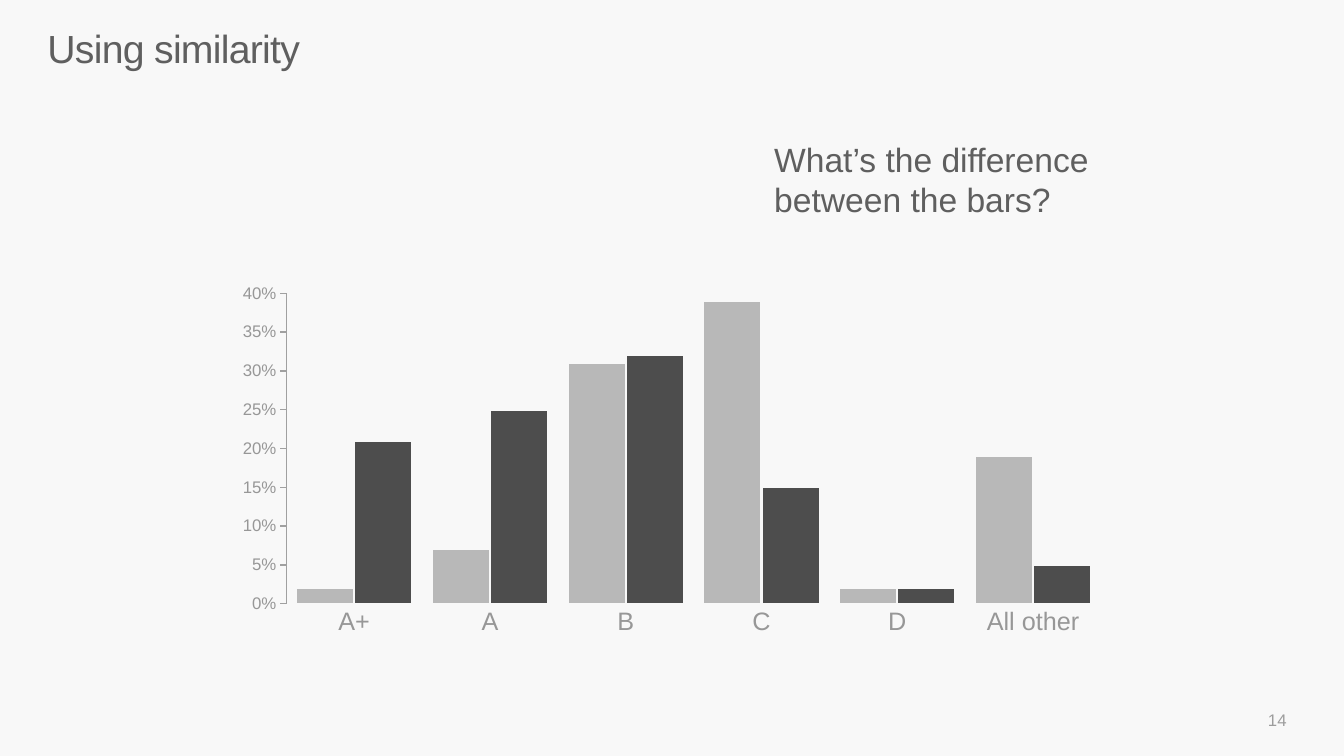
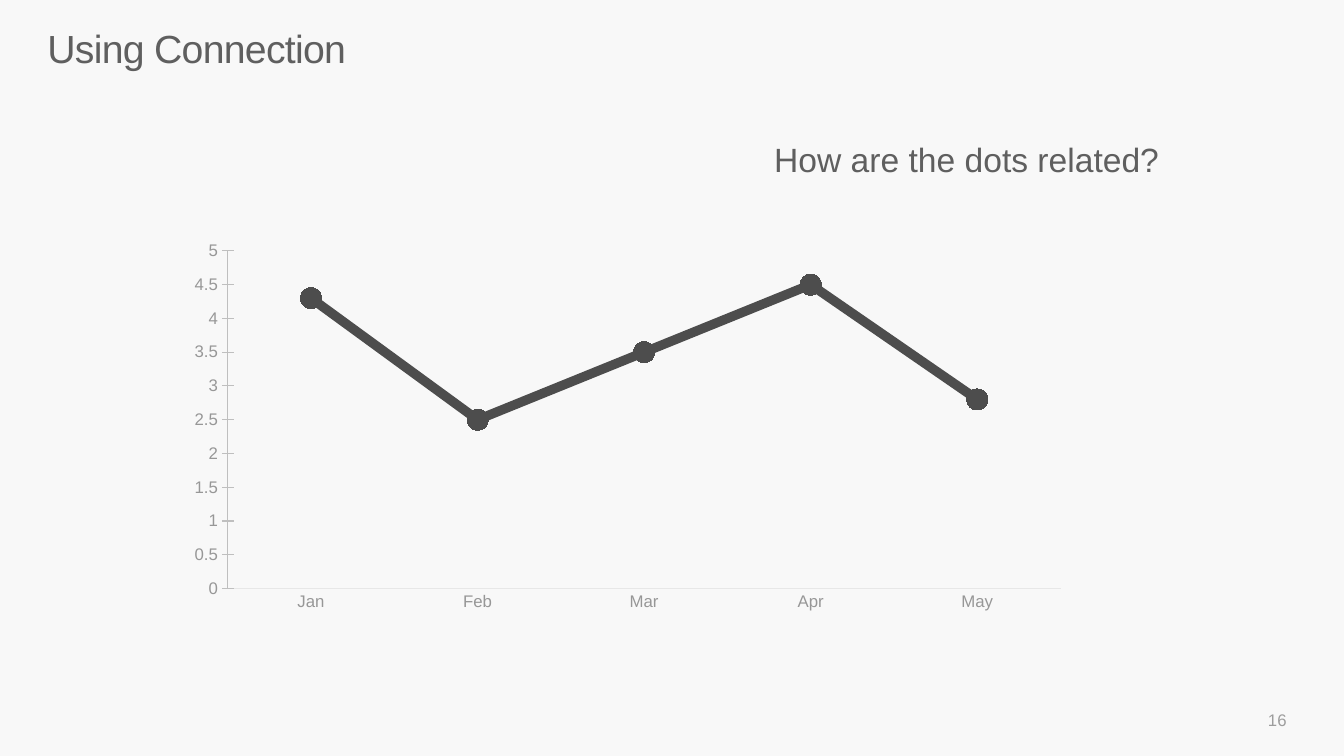
from dataclasses import dataclass

from lxml.etree import SubElement
from pptx import Presentation
from pptx.chart.data import CategoryChartData
from pptx.dml.color import RGBColor
from pptx.enum.chart import XL_CHART_TYPE, XL_MARKER_STYLE, XL_TICK_MARK
from pptx.enum.text import MSO_ANCHOR, PP_ALIGN
from pptx.oxml.ns import qn
from pptx.util import Inches, Pt


@dataclass(frozen=True)
class Theme:
    font: str = "Arial"
    background: str = "F8F8F8"
    text: str = "5F5F5F"
    page_number: str = "9D9D9D"
    axis_label: str = "979797"
    percent_axis: str = "A0A0A0"
    value_axis: str = "BFBFBF"
    baseline: str = "E7E7E7"
    light: str = "B8B8B8"
    dark: str = "4D4D4D"
    title_size: float = 28
    question_size: float = 24
    category_size: float = 18
    small_size: float = 12
    chart_size: float = 10


THEME = Theme()
TITLE_BOX = (0.47, 0.31, 12.39, 0.89)
NUMBER_BOX = (9.86, 6.94, 3, 0.4)


def rgb(color):
    return RGBColor.from_string(color)


def set_font(font, size, color):
    font.name = THEME.font
    font.size = Pt(size)
    font.color.rgb = rgb(color)


def set_line(line, color, width):
    line.color.rgb = rgb(color)
    line.width = Pt(width)


def add_text(slide, box, text, *, size, color=THEME.text, align=PP_ALIGN.LEFT,
             anchor=MSO_ANCHOR.TOP, inset=None, line_spacing=None, tracking=None):
    """Tracking is in points; inset is in inches on all four sides."""
    frame = slide.shapes.add_textbox(*map(Inches, box)).text_frame
    frame.word_wrap = True
    frame.vertical_anchor = anchor
    if inset is not None:
        frame.margin_left = frame.margin_right = Inches(inset)
        frame.margin_top = frame.margin_bottom = Inches(inset)
    paragraph = frame.paragraphs[0]
    paragraph.alignment = align
    paragraph.line_spacing = line_spacing
    run = paragraph.add_run()
    run.text = text
    set_font(run.font, size, color)
    if tracking is not None:
        run.font._element.set("spc", str(round(tracking * 100)))


def add_question_slide(prs, title, question, question_height, number):
    slide = prs.slides.add_slide(prs.slide_layouts[6])
    add_text(slide, TITLE_BOX, title, size=THEME.title_size, inset=0,
             line_spacing=0.86, tracking=-0.5)
    add_text(slide, NUMBER_BOX, number, size=THEME.small_size,
             color=THEME.page_number, align=PP_ALIGN.RIGHT, anchor=MSO_ANCHOR.MIDDLE)
    add_text(slide, (7.58, 1.33, 4.08, question_height), question,
             size=THEME.question_size)
    return slide


def set_plot_box(chart, chart_box, plot_box):
    """Fix the inner plot area; plot_box is in inches from the chart's corner."""
    plot_area = chart.element.find(qn("c:chart")).find(qn("c:plotArea"))
    for old_layout in plot_area.findall(qn("c:layout")):
        plot_area.remove(old_layout)
    layout = SubElement(plot_area, qn("c:layout"))
    plot_area.insert(0, layout)
    manual = SubElement(layout, qn("c:manualLayout"))
    width, height = chart_box[2:]
    shares = [length / full for length, full in zip(plot_box, (width, height) * 2)]
    settings = [("layoutTarget", "inner"), ("xMode", "edge"), ("yMode", "edge"),
                *zip("xywh", (f"{share:.4f}" for share in shares))]
    for tag, value in settings:
        SubElement(manual, qn(f"c:{tag}")).set("val", value)


def add_plain_chart(slide, kind, box, plot_box, categories, series, *, maximum, step,
                    number_format, category_size, tick_mark):
    """Add a chart with no legend, title or gridlines."""
    data = CategoryChartData(number_format=number_format)
    data.categories = categories
    for name, values in series.items():
        data.add_series(name, values)
    chart = slide.shapes.add_chart(kind, *map(Inches, box), data).chart
    chart.has_legend = False
    chart.has_title = False
    set_font(chart.font, THEME.chart_size, THEME.text)
    chart.plots[0].vary_by_categories = False

    category_axis, value_axis = chart.category_axis, chart.value_axis
    for axis, size, mark in ((category_axis, category_size, XL_TICK_MARK.NONE),
                             (value_axis, THEME.small_size, tick_mark)):
        axis.has_major_gridlines = False
        axis.major_tick_mark = mark
        axis.minor_tick_mark = XL_TICK_MARK.NONE
        set_font(axis.tick_labels.font, size, THEME.axis_label)
    value_axis.minimum_scale = 0
    value_axis.maximum_scale = maximum
    value_axis.major_unit = step
    value_axis.tick_labels.number_format = number_format
    value_axis.tick_labels.number_format_is_linked = False
    set_plot_box(chart, box, plot_box)
    return chart


def add_grade_columns(slide, box):
    chart = add_plain_chart(
        slide, XL_CHART_TYPE.COLUMN_CLUSTERED, box, (0.6, 0.16, 8.08, 3.08),
        ["A+", "A", "B", "C", "D", "All other"],
        {"Series 1": (0.02, 0.07, 0.31, 0.39, 0.02, 0.19),
         "Series 2": (0.21, 0.25, 0.32, 0.15, 0.02, 0.05)},
        maximum=0.4, step=0.05, number_format="0%",
        category_size=THEME.category_size, tick_mark=XL_TICK_MARK.OUTSIDE)
    chart.category_axis.format.line.fill.background()
    set_line(chart.value_axis.format.line, THEME.percent_axis, 1)
    columns = chart.plots[0]
    columns.gap_width = 33
    columns.overlap = 0
    for group, color in zip(columns.series, (THEME.light, THEME.dark)):
        group.invert_if_negative = False
        group.format.fill.solid()
        group.format.fill.fore_color.rgb = rgb(color)
        set_line(group.format.line, THEME.background, 1.5)


def add_monthly_line(slide, box):
    chart = add_plain_chart(
        slide, XL_CHART_TYPE.LINE_MARKERS, box, (0.51, 0.16, 8.26, 3.35),
        ["Jan", "Feb", "Mar", "Apr", "May"],
        {"Series 1": (4.3, 2.5, 3.5, 4.5, 2.8)},
        maximum=5, step=0.5, number_format="General",
        category_size=THEME.small_size, tick_mark=XL_TICK_MARK.CROSS)
    set_line(chart.category_axis.format.line, THEME.baseline, 0.75)
    set_line(chart.value_axis.format.line, THEME.value_axis, 0.75)
    trend = chart.plots[0].series[0]
    trend.smooth = False
    set_line(trend.format.line, THEME.dark, 6.75)
    dot = trend.marker
    dot.style = XL_MARKER_STYLE.CIRCLE
    dot.size = 15
    dot.format.fill.solid()
    dot.format.fill.fore_color.rgb = rgb(THEME.dark)
    set_line(dot.format.line, THEME.dark, 0.75)


def main():
    prs = Presentation()
    prs.slide_width, prs.slide_height = Inches(13.33), Inches(7.5)
    backdrop = prs.slide_master.background.fill
    backdrop.solid()
    backdrop.fore_color.rgb = rgb(THEME.background)

    similarity = add_question_slide(
        prs, "Using similarity", "What’s the difference between the bars?", 0.91, "14")
    add_grade_columns(similarity, (2.24, 2.75, 8.86, 3.64))

    connection = add_question_slide(
        prs, "Using Connection", "How are the dots related?", 0.5, "16")
    add_monthly_line(connection, (1.75, 2.33, 8.94, 3.81))

    prs.save("out.pptx")


if __name__ == "__main__":
    main()
